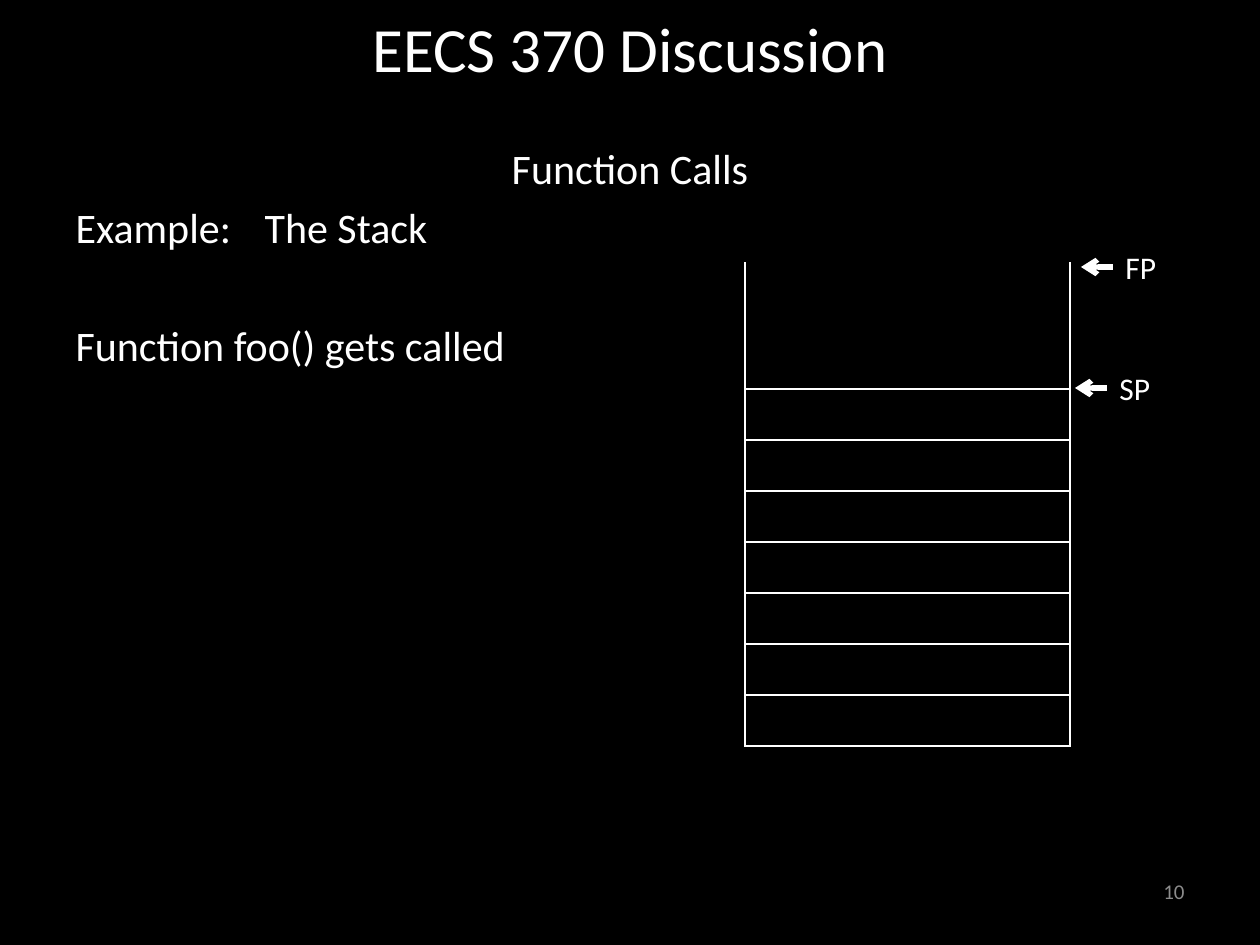
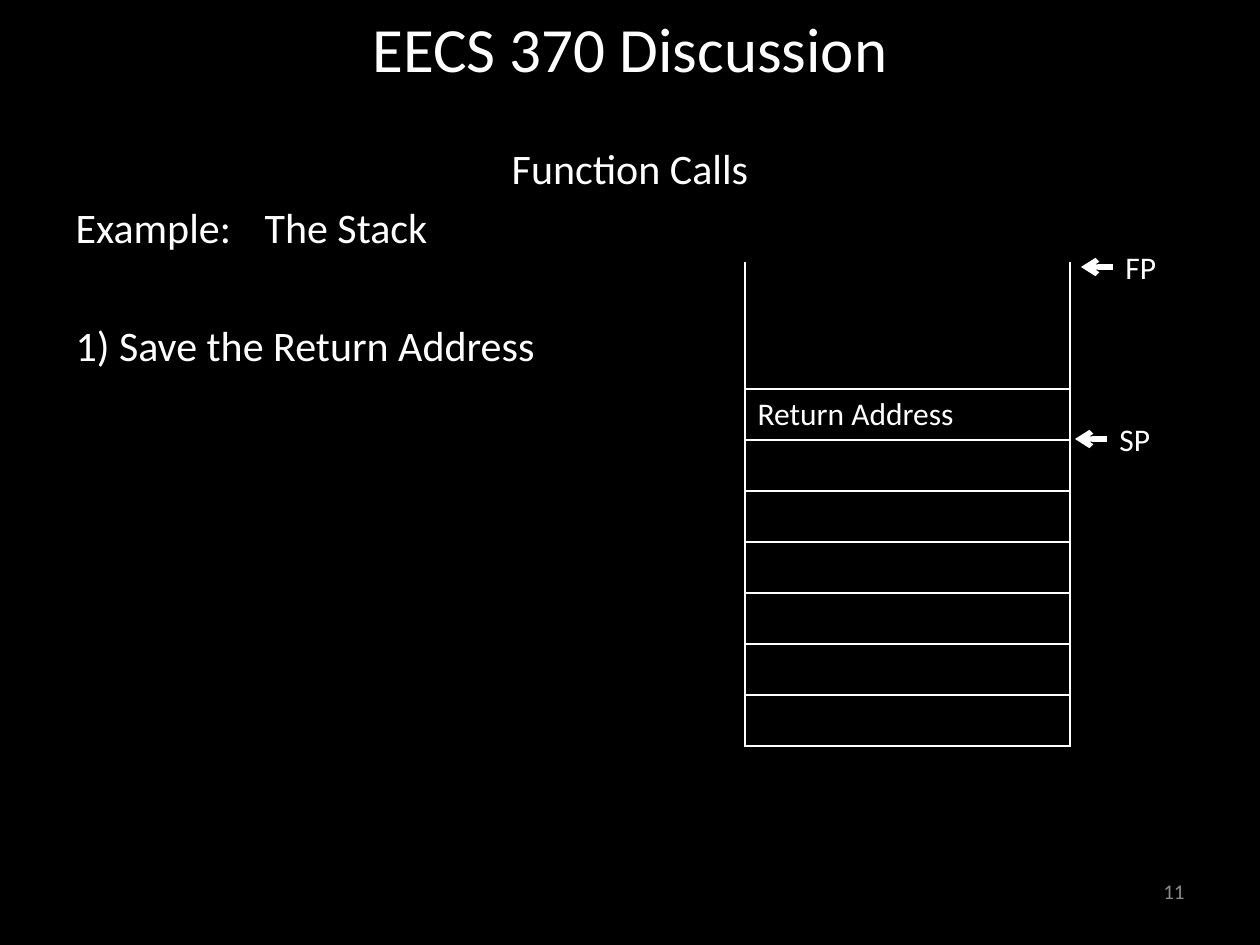
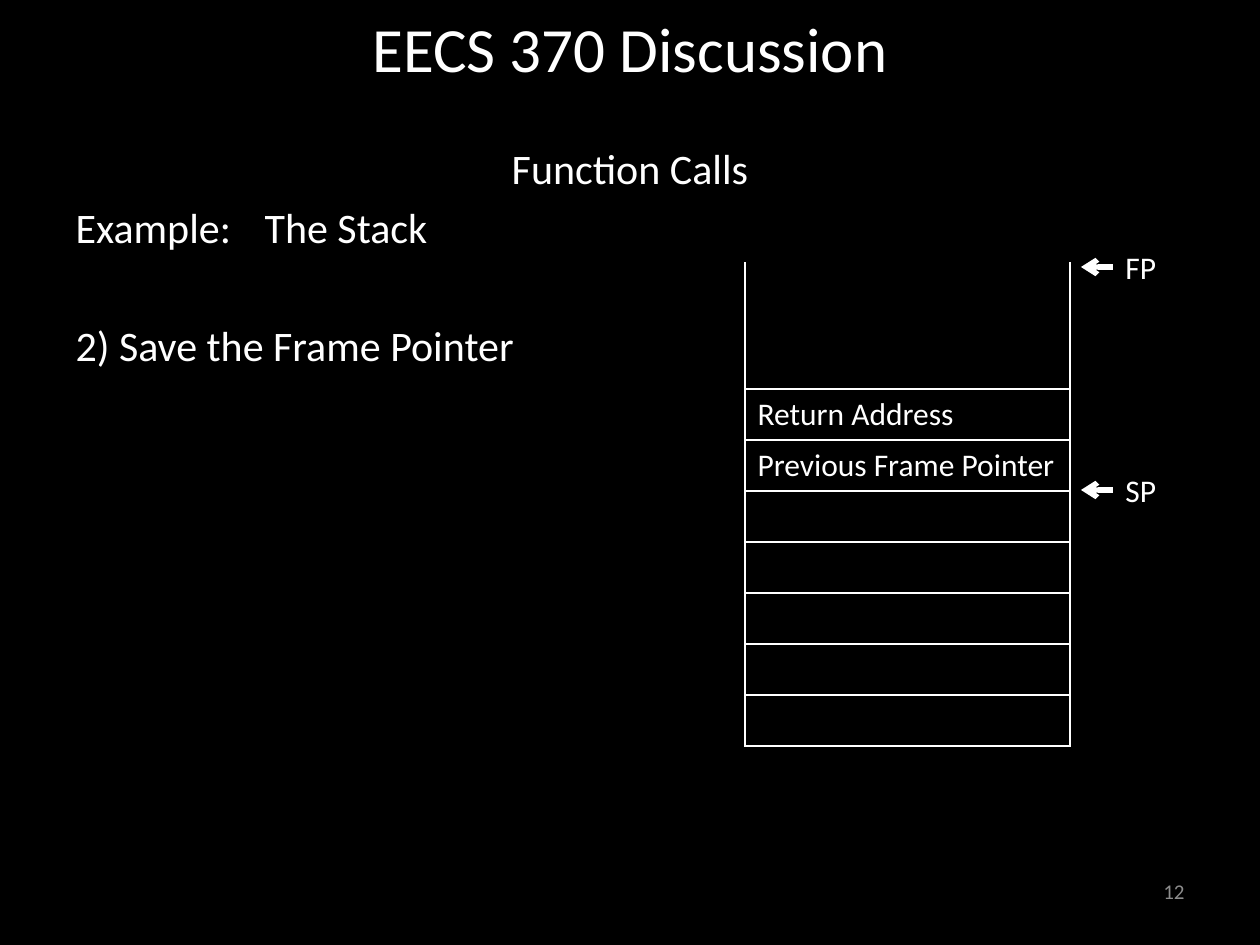
from collections import namedtuple

from lxml.etree import SubElement
from pptx import Presentation
from pptx.dml.color import RGBColor
from pptx.enum.shapes import MSO_CONNECTOR as CONN
from pptx.enum.text import MSO_ANCHOR as ANCHOR, MSO_AUTO_SIZE as AUTO, PP_ALIGN as ALIGN
from pptx.oxml.ns import qn
from pptx.util import Emu, Pt

COLORS = {"bg": "000000", "fg": "FFFFFF", "muted": "8C8C8C"}
FONT = "Calibri"
Box = namedtuple("Box", "x y w h")

TITLE = Box(63, -32, 1134, 158)
BODY = Box(63, 136, 1134, 746)
NUMBER = Box(903, 866, 294, 50)
STACK = Box(745, 262, 325, 484)
ROWS, ROW_H = 8, 51
STACK_TAB = 754
FIRST_NUMBER = 10

STEPS = [
    {"step": "Function foo() gets called", "saved": [], "gap": 5},
    {"step": "1) Save the Return Address", "saved": ["Return Address"], "gap": 5},
    {"step": "2) Save the Frame Pointer",
     "saved": ["Return Address", "Previous Frame Pointer"], "gap": 11},
]


def px(n):
    return Emu(round(n * 914400 / 126))


def rgb(name):
    return RGBColor.from_string(COLORS[name])


def apply(obj, values):
    for name, value in values.items():
        setattr(obj, name, value)


def place(sp, box):
    apply(sp, dict(zip(("left", "top", "width", "height"), map(px, box))))


def write(p, text, size, color="fg", **values):
    r = p.add_run()
    r.text = text
    apply(r.font, {"name": FONT, "size": Pt(size)})
    r.font.color.rgb = rgb(color)
    apply(p, values)


def text_box(shapes, box, text, size, color="fg", anchor=ANCHOR.TOP, **values):
    tf = shapes.add_textbox(*map(px, box)).text_frame
    apply(tf, {"word_wrap": True, "vertical_anchor": anchor})
    write(tf.paragraphs[0], text, size, color, **values)


def add_title(slide, box):
    sp = slide.shapes.title
    place(sp, box)
    sp.text_frame.vertical_anchor = ANCHOR.MIDDLE
    write(sp.text_frame.paragraphs[0], "EECS 370 Discussion", 36, alignment=ALIGN.CENTER)


def add_body(slide, box, step):
    sp = slide.placeholders[1]
    place(sp, box)
    tf = sp.text_frame
    tf.auto_size = AUTO.NONE
    lines = [
        ("Function Calls", {"alignment": ALIGN.CENTER}),
        ("Example:\tThe Stack", {}),
        (step, {"space_before": Pt(38.6)}),
    ]
    for i, (text, values) in enumerate(lines):
        p = tf.add_paragraph() if i else tf.paragraphs[0]
        write(p, text, 24, **values)
        pPr = p._p.get_or_add_pPr()
        pPr.set("marL", "0")
        pPr.set("indent", "0")
        SubElement(pPr, qn("a:buNone"))
        if "\t" in text:
            tabs = SubElement(pPr, qn("a:tabLst"))
            SubElement(tabs, qn("a:tab"), pos=str(px(STACK_TAB)), algn="l")


def set_borders(cell, open_top):
    tcPr = cell._tc.get_or_add_tcPr()
    for side in "LRTB":
        ln = SubElement(tcPr, qn(f"a:ln{side}"), w=str(Pt(1)))
        if side == "T" and open_top:
            SubElement(ln, qn("a:noFill"))
        else:
            fill = SubElement(ln, qn("a:solidFill"))
            SubElement(fill, qn("a:srgbClr"), val=COLORS["fg"])


def add_stack(slide, box, saved):
    table = slide.shapes.add_table(ROWS, 1, *map(px, box)).table
    apply(table, {"first_row": False, "horz_banding": False})
    for i, row in enumerate(table.rows):
        row.height = px(ROW_H if i else box.h - ROW_H * (ROWS - 1))
        cell = row.cells[0]
        set_borders(cell, open_top=i == 0)
        cell.fill.background()
        if 1 <= i <= len(saved):
            write(cell.text_frame.paragraphs[0], saved[i - 1], 18)


def add_pointer(slide, x, y, label):
    length = 32
    shapes = slide.shapes.add_group_shape().shapes
    text_box(shapes, Box(x + length, y - 25, 68, 50), label, 18)
    arrow = shapes.add_connector(CONN.STRAIGHT, px(x + length), px(y), px(x), px(y))
    arrow.line.color.rgb = rgb("fg")
    arrow.line.width = Pt(3)
    SubElement(arrow.line._get_or_add_ln(), qn("a:tailEnd"), type="arrow")
    SubElement(arrow._element.spPr, qn("a:effectLst"))


def add_step_slide(prs, number, step, saved, gap):
    slide = prs.slides.add_slide(prs.slide_layouts[1])
    add_title(slide, TITLE)
    add_body(slide, BODY, step)
    text_box(slide.shapes, NUMBER, str(number), 12, "muted", ANCHOR.MIDDLE,
             alignment=ALIGN.RIGHT)
    add_stack(slide, STACK, saved)
    right, bottom = STACK.x + STACK.w, STACK.y + STACK.h
    add_pointer(slide, right + 11, STACK.y + 5, "FP")
    free_rows = ROWS - 1 - len(saved)
    add_pointer(slide, right + gap, bottom - free_rows * ROW_H - 1, "SP")


def main():
    prs = Presentation()
    apply(prs, {"slide_width": px(1260), "slide_height": px(945)})
    fill = prs.slide_master.background.fill
    fill.solid()
    fill.fore_color.rgb = rgb("bg")
    for number, step in enumerate(STEPS, FIRST_NUMBER):
        add_step_slide(prs, number, **step)
    prs.save("out.pptx")


if __name__ == "__main__":
    main()
